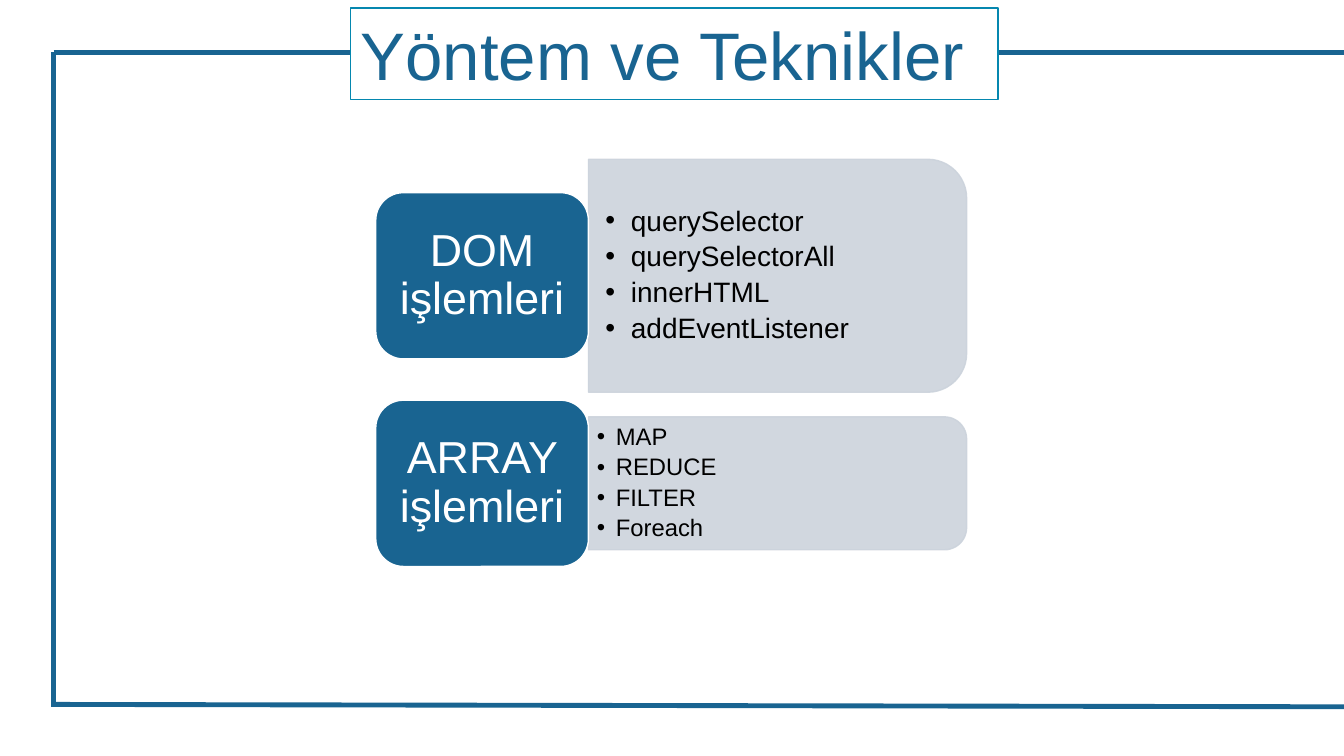
from pptx import Presentation
from pptx.dml.color import RGBColor as Rgb
from pptx.enum.shapes import MSO_CONNECTOR as Link, MSO_SHAPE as Kind
from pptx.enum.text import MSO_ANCHOR as Anchor, PP_ALIGN as Align
from pptx.oxml.ns import qn
from pptx.util import Cm, Pt
from lxml.etree import SubElement as Sub

TITLE = "Yöntem ve Teknikler"
GROUPS = [
    dict(name="DOM işlemleri",
         items=["querySelector", "querySelectorAll", "innerHTML", "addEventListener"],
         high=5.87, box=(14.83, 9.25, 5.31), pad=(0.43, 0.23), hang=0.64, size=20, gap=4),
    dict(name="ARRAY işlemleri",
         items=["MAP", "REDUCE", "FILTER", "Foreach"],
         high=3.35, box=(14.86, 9.37, 3.02), pad=(0.18, 0.1), hang=0.48, size=17, gap=3.3),
]
FRAME = [
    (1.35, 1.32, 33.87, 1.32),
    (1.35, 17.81, 1.35, 1.32),
    (1.35, 17.75, 33.87, 17.81),
]
COLORS = dict(blue="196491", teal="0587AF", gray="CCD3DC", white="FFFFFF", black="000000")
FONT = "Arial"
LEFT, WIDE, HIGH = 9.47, 5.36, 4.19
PANEL = 9.53
FIRST, STEP = 6.95, 5.23


def color(name):
    return Rgb.from_string(COLORS[name])


def fade(fill):
    for tint in fill.iter(qn("a:srgbClr")):
        Sub(tint, qn("a:alpha"), val="90000")


def draw(kind, x, y, w, h, fill, line):
    shape = slide.shapes.add_shape(kind, Cm(x), Cm(y), Cm(w), Cm(h))
    shape.shadow.inherit = False
    shape.fill.solid()
    shape.fill.fore_color.rgb = color(fill)
    shape.line.color.rgb = color(line)
    shape.line.width = Pt(1)
    return shape


def write(shape, lines, size, tone, align, anchor, pad, gap=0, hang=None):
    frame = shape.text_frame
    frame.word_wrap = True
    frame.vertical_anchor = anchor
    frame.margin_left = frame.margin_right = Cm(pad[0])
    frame.margin_top = frame.margin_bottom = Cm(pad[1])
    frame.text = "\n".join(lines)
    for para in frame.paragraphs:
        if hang:
            props = para._p.get_or_add_pPr()
            props.set("marL", str(Cm(hang)))
            props.set("indent", str(-Cm(hang)))
            Sub(props, qn("a:buFont"), typeface=FONT)
            Sub(props, qn("a:buChar"), char="•")
        para.alignment = align
        para.line_spacing = 0.9 if anchor == Anchor.MIDDLE else 1.0
        para.space_after = Pt(gap)
        for run in para.runs:
            run.font.name = FONT
            run.font.size = Pt(size)
            run.font.color.rgb = color(tone)


deck = Presentation()
deck.slide_width, deck.slide_height = Cm(33.87), Cm(19.05)
slide = deck.slides.add_slide(deck.slide_layouts[6])

for ends in FRAME:
    edge = slide.shapes.add_connector(Link.STRAIGHT, *map(Cm, ends))
    edge.line.color.rgb = color("blue")
    edge.line.width = Pt(3.5)
    Sub(edge._element.spPr, qn("a:effectLst"))

title = draw(Kind.RECTANGLE, 8.84, 0.2, 16.31, 2.31, "white", "teal")
write(title, [TITLE], 48, "blue", Align.LEFT, Anchor.TOP, (0.25, 0.13))

for row, group in enumerate(GROUPS):
    mid = FIRST + row * STEP
    high = group["high"]
    panel = draw(Kind.ROUND_2_SAME_RECTANGLE, LEFT + WIDE + (PANEL - high) / 2,
                 mid - PANEL / 2, high, PANEL, "gray", "gray")
    panel.rotation = 90
    fade(panel._element.spPr)

    x, w, h = group["box"]
    box = slide.shapes.add_textbox(Cm(x), Cm(mid - h / 2), Cm(w), Cm(h))
    write(box, group["items"], group["size"], "black", Align.LEFT, Anchor.MIDDLE,
          group["pad"], group["gap"], group["hang"])

    tile = draw(Kind.ROUNDED_RECTANGLE, LEFT, mid - HIGH / 2, WIDE, HIGH, "blue", "white")
    write(tile, [group["name"]], 32, "white", Align.CENTER, Anchor.MIDDLE, (0.33, 0.18))

deck.save("out.pptx")
